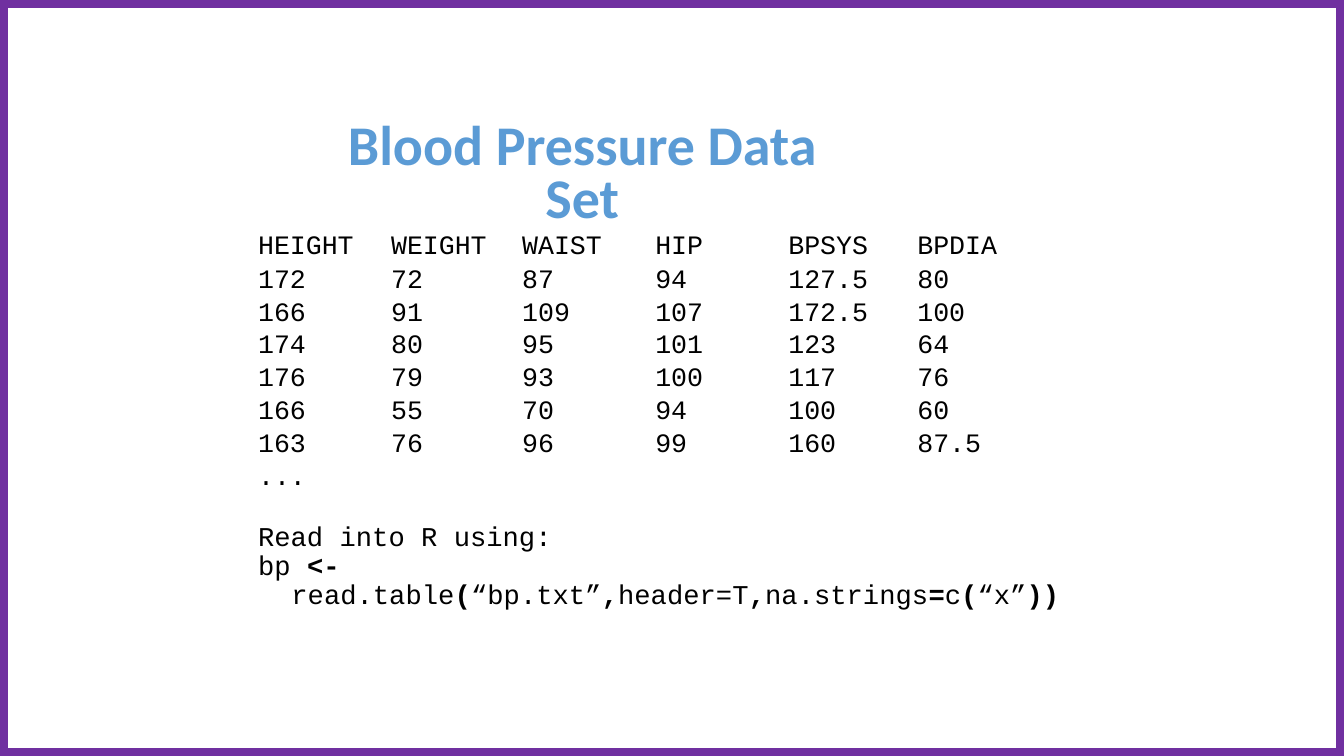
from pptx import Presentation
from pptx.dml.color import RGBColor
from pptx.enum.shapes import MSO_SHAPE as Shape
from pptx.enum.text import MSO_ANCHOR as Anchor, MSO_AUTO_SIZE as AutoSize, PP_ALIGN as Align
from pptx.util import Inches, Pt

COLORS = {"frame": "7030A0", "title": "5B9BD5", "text": "000000"}

COLUMNS = [  # width, left indent
    (1.17, 0.03), (1.3, 0.18), (1.22, 0.18), (1.14, 0.28), (1.46, 0.46), (1.09, 0.28),
]
MEASUREMENTS = [
    ["HEIGHT", "WEIGHT", "WAIST", "HIP", "BPSYS", "BPDIA"],
    ["172", "72", "87", "94", "127.5", "80"],
    ["166", "91", "109", "107", "172.5", "100"],
    ["174", "80", "95", "101", "123", "64"],
    ["176", "79", "93", "100", "117", "76"],
    ["166", "55", "70", "94", "100", "60"],
    ["163", "76", "96", "99", "160", "87.5"],
    ["...", "", "", "", "", ""],
]
# Every second piece of a line is bold
R_CODE = [
    (["Read into R using:"], 0.01, {"line_spacing": Pt(23.2), "space_before": Pt(0.9)}),
    (["bp ", "<-"], 0.01, {"line_spacing": Pt(21)}),
    (["read.table", "(", "“bp.txt”", ",", "header=T", ",", "na.strings", "=",
      "c", "(", "“x”", "))"], 0.34, {"line_spacing": Pt(21)}),
]


def apply(target, values):
    for name, value in values.items():
        setattr(target, name, value)


class DataSlide:
    title_font = {"name": "Calibri", "size": Pt(40), "bold": True}
    table_font = {"name": "Courier New", "size": Pt(19), "bold": False}
    code_font = {"name": "Courier New", "size": Pt(19.4)}
    box_format = {"margin_left": 0, "margin_right": 0, "margin_top": Inches(0.01),
                  "margin_bottom": 0, "word_wrap": True,
                  "auto_size": AutoSize.SHAPE_TO_FIT_TEXT}

    def __init__(self, deck):
        self.deck = deck
        self.slide = deck.slides.add_slide(deck.slide_layouts[5])

    def place(self, shape, *box):
        apply(shape, dict(zip(("left", "top", "width", "height"), map(Inches, box))))

    def add_text(self, paragraph, text, font, color="text", **extra):
        run = paragraph.add_run()
        run.text = text
        apply(run.font, {**font, **extra})
        run.font.color.rgb = RGBColor.from_string(COLORS[color])

    def frame(self):
        border = self.slide.shapes.add_shape(
            Shape.RECTANGLE, 0, 0, self.deck.slide_width, self.deck.slide_height)
        border.shadow.inherit = False
        border.fill.background()
        border.line.color.rgb = RGBColor.from_string(COLORS["frame"])
        border.line.width = Pt(12)

    def title(self, text, *box):
        heading = self.slide.shapes.title
        self.place(heading, *box)
        apply(heading.text_frame, {**self.box_format, "vertical_anchor": Anchor.MIDDLE})
        paragraph = heading.text_frame.paragraphs[0]
        apply(paragraph, {"alignment": Align.CENTER, "line_spacing": 0.8,
                          "space_before": Pt(0.9)})
        self.add_text(paragraph, text, self.title_font, "title")

    def table(self, rows, columns, *box):
        table = self.slide.shapes.add_table(
            len(rows), len(columns), *map(Inches, box)).table
        apply(table, {"first_row": False, "horz_banding": False})
        for column, (width, _) in zip(table.columns, columns):
            column.width = Inches(width)
        for r, values in enumerate(rows):
            for c, (value, (_, indent)) in enumerate(zip(values, columns)):
                cell = table.cell(r, c)
                cell.fill.background()
                apply(cell, {"margin_left": Inches(indent), "margin_right": 0,
                             "margin_top": 0, "margin_bottom": 0})
                paragraph = cell.text_frame.paragraphs[0]
                paragraph.line_spacing = Pt(23.4 if r else 22.8)
                if value:
                    self.add_text(paragraph, value, self.table_font)

    def code(self, lines, *box):
        frame = self.slide.shapes.add_textbox(*map(Inches, box)).text_frame
        apply(frame, self.box_format)
        for n, (pieces, indent, spacing) in enumerate(lines):
            paragraph = frame.add_paragraph() if n else frame.paragraphs[0]
            apply(paragraph, spacing)
            paragraph._p.get_or_add_pPr().set("marL", str(Inches(indent)))
            for i, piece in enumerate(pieces):
                self.add_text(paragraph, piece, self.code_font, bold=i % 2 == 1)


def main():
    deck = Presentation()
    apply(deck, {"slide_width": Inches(13.33), "slide_height": Inches(7.5)})
    page = DataSlide(deck)

    # Purple border and heading
    page.frame()
    page.title("Blood Pressure Data Set", 3.07, 1.49, 5.41, 0.5)

    # Measurements and the call that reads them
    page.table(MEASUREMENTS, COLUMNS, 2.53, 2.29, 7.38, 2.58)
    page.code(R_CODE, 2.55, 5.14, 7.99, 0.92)

    deck.save("out.pptx")


if __name__ == "__main__":
    main()
